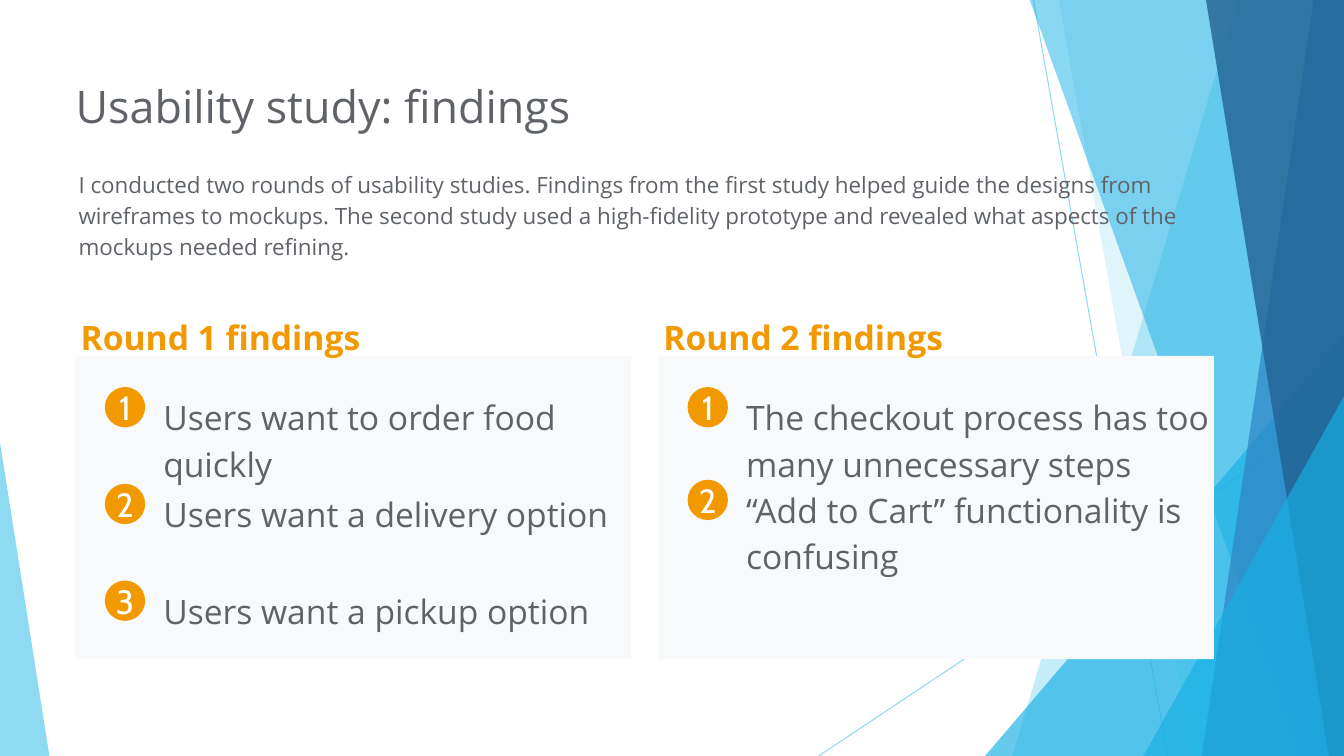
from typing import Any, NamedTuple

from lxml import etree
from pptx import Presentation
from pptx import util as u
from pptx.dml.color import RGBColor
from pptx.enum import shapes, text
from pptx.oxml import ns

SKY = RGBColor(0x5F, 0xCB, 0xEF)
AQUA = RGBColor(0x17, 0xB0, 0xE4)
BLUE = RGBColor(0x2E, 0x83, 0xC3)
NAVY = RGBColor(0x22, 0x62, 0x92)
GREY = RGBColor(0x5F, 0x63, 0x68)
PALE = RGBColor(0xF8, 0xF9, 0xFA)
GOLD = RGBColor(0xF2, 0x99, 0x00)
WHITE = RGBColor(0xFF, 0xFF, 0xFF)

WIDE, HIGH = 13.33, 7.5
INSET = 0.13
SHIFT = 5.78  # distance between the two columns
PANEL_TOP = 3.53
BADGE_TOP = 3.84

BODY = {"size": u.Pt(24), "name": "Open Sans"}
BADGE = {"size": u.Pt(24), "name": "Cabin"}


class Ray(NamedTuple):
    start: tuple[float, float]
    end: tuple[float, float]


class Facet(NamedTuple):
    """A slanted band that fills the space to the slide's right edge."""
    top: float
    foot: float
    color: RGBColor
    alpha: int


class Wedge(NamedTuple):
    left: float
    top: float
    width: float
    tip: float
    color: RGBColor
    alpha: int


class Point(NamedTuple):
    words: str
    lines: int


class Round(NamedTuple):
    title: str
    step: float
    points: list[Point]


RAYS = [Ray((10.25, 0), (11.58, HIGH)), Ray((WIDE, 4.03), (8.12, HIGH))]

SHARDS: list[Facet | Wedge] = [
    Facet(12.28, 10.04, SKY, 36),
    Facet(10.5, 11.83, SKY, 20),
    Wedge(9.77, 3.33, 3.56, 1, AQUA, 66),
    Facet(10.21, 12.91, AQUA, 50),
    Facet(13.03, 11.92, BLUE, 70),
    Facet(11.96, 13.18, NAVY, 80),
    Wedge(11.34, 3.93, 1.99, 1, AQUA, 66),
    Wedge(0, 4.39, 0.49, 0, SKY, 70),
]

ROUNDS = [
    Round("Round 1 findings", 0.96, [
        Point("Users want to order food quickly", 2),
        Point("Users want a delivery option", 1),
        Point("Users want a pickup option", 1),
    ]),
    Round("Round 2 findings", 0.92, [
        Point("The checkout process has too many unnecessary steps", 2),
        Point("“Add to Cart” functionality is confusing", 2),
    ]),
]


def fade(shape: Any, alpha: int) -> None:
    """Set the opacity, in percent, of every solid colour in a shape."""
    for tone in shape._element.spPr.iter(ns.qn("a:srgbClr")):
        etree.SubElement(tone, ns.qn("a:alpha"), val=str(alpha * 1000))


def paint(shape: Any, color: RGBColor, alpha: int = 100) -> None:
    shape.shadow.inherit = False
    shape.fill.solid()
    shape.fill.fore_color.rgb = color
    shape.line.fill.background()
    if alpha < 100:
        fade(shape, alpha)


def add_form(slide: Any, kind: Any, left: float, top: float,
             width: float, height: float) -> Any:
    return slide.shapes.add_shape(
        kind, u.Inches(left), u.Inches(top), u.Inches(width), u.Inches(height))


def draw_ray(slide: Any, ray: Ray) -> None:
    ends = [u.Inches(n) for n in (*ray.start, *ray.end)]
    line = slide.shapes.add_connector(shapes.MSO_CONNECTOR.STRAIGHT, *ends)
    line.line.color.rgb = SKY
    line.line.width = u.Pt(0.75)
    fade(line, 70)
    etree.SubElement(line._element.spPr, ns.qn("a:effectLst"))


def draw_shard(slide: Any, shard: Facet | Wedge) -> None:
    if isinstance(shard, Wedge):
        form = add_form(slide, shapes.MSO_SHAPE.ISOSCELES_TRIANGLE, shard.left,
                        shard.top, shard.width, HIGH - shard.top)
        form.adjustments[0] = shard.tip
    else:
        edge = [(shard.top, -0.01), (WIDE, -0.01), (WIDE, HIGH), (shard.foot, HIGH)]
        spots = [(u.Inches(x), u.Inches(y)) for x, y in edge]
        build = slide.shapes.build_freeform(*spots[0])
        build.add_line_segments(spots[1:], close=True)
        form = build.convert_to_shape()
    paint(form, shard.color, shard.alpha)


def write(frame: Any, words: str, style: dict[str, Any], color: RGBColor,
          layout: dict[str, Any], para: dict[str, Any]) -> None:
    line = frame.paragraphs[0]
    run = line.add_run()
    run.text = words
    run.font.color.rgb = color
    for target, values in ((frame, layout), (line, para), (run.font, style)):
        for key, value in values.items():
            setattr(target, key, value)


def add_text(slide: Any, words: str, left: float, top: float, width: float,
             height: float, style: dict[str, Any], color: RGBColor = GREY,
             inset: float = INSET, space: float = 1.15) -> None:
    box = slide.shapes.add_textbox(
        u.Inches(left), u.Inches(top), u.Inches(width), u.Inches(height))
    pad = u.Inches(INSET)
    layout = {
        "word_wrap": True, "auto_size": text.MSO_AUTO_SIZE.SHAPE_TO_FIT_TEXT,
        "margin_left": u.Inches(inset), "margin_top": pad,
        "margin_right": pad, "margin_bottom": pad,
    }
    write(box.text_frame, words, style, color, layout, {"line_spacing": space})


def draw_badge(slide: Any, number: int, left: float, top: float) -> None:
    disc = add_form(slide, shapes.MSO_SHAPE.OVAL, left, top, 0.4, 0.4)
    paint(disc, GOLD)
    layout = {f"margin_{side}": 0 for side in ("left", "top", "right", "bottom")}
    layout["vertical_anchor"] = text.MSO_ANCHOR.MIDDLE
    write(disc.text_frame, str(number), BADGE, WHITE, layout,
          {"alignment": text.PP_ALIGN.CENTER})


def draw_round(slide: Any, study: Round, left: float) -> None:
    panel = add_form(slide, shapes.MSO_SHAPE.RECTANGLE, left, PANEL_TOP, 5.51, 3.01)
    paint(panel, PALE)
    for index, point in enumerate(study.points):
        top = BADGE_TOP + index * study.step
        add_text(slide, point.words, left + 0.74, top - 0.09, 4.86,
                 2 * INSET + 0.47 * point.lines, BODY)
        draw_badge(slide, index + 1, left + 0.29, top)
    add_text(slide, study.title, left - 0.08, 2.95, 4.86, 0.73,
             BODY | {"bold": True}, GOLD)


def main() -> None:
    deck = Presentation()
    deck.slide_width, deck.slide_height = u.Inches(WIDE), u.Inches(HIGH)
    slide = deck.slides.add_slide(deck.slide_layouts[6])

    # Backdrop
    for ray in RAYS:
        draw_ray(slide, ray)
    for shard in SHARDS:
        draw_shard(slide, shard)

    # Title and summary
    add_text(slide, "Usability study: findings", 0.75, 0.65, 8.98, 0.81,
             BODY | {"size": u.Pt(32)}, inset=0, space=1.0)
    add_text(slide, "I conducted two rounds of usability studies. Findings from "
             "the first study helped guide the designs from wireframes to mockups. "
             "The second study used a high-fidelity prototype and revealed what "
             "aspects of the mockups needed refining.",
             0.78, 1.53, 11.48, 1.2, BODY | {"size": u.Pt(16)}, inset=0)

    # Findings
    for index, study in enumerate(ROUNDS):
        draw_round(slide, study, 0.75 + index * SHIFT)

    deck.save("out.pptx")


if __name__ == "__main__":
    main()
